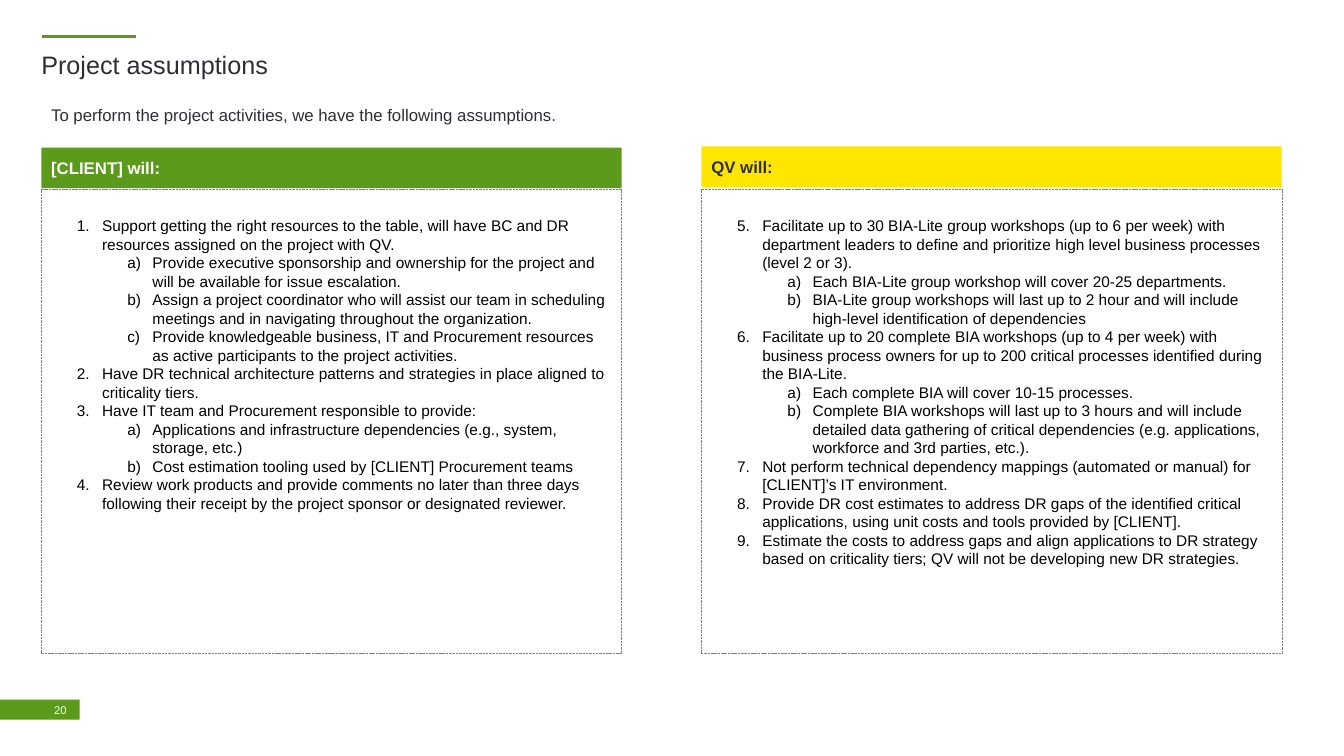
from dataclasses import dataclass

import lxml.etree
import pptx
import pptx.dml.color
import pptx.enum.dml
import pptx.enum.shapes
import pptx.enum.text
import pptx.oxml.ns
import pptx.shapes.autoshape
import pptx.slide
import pptx.text.text
import pptx.util


@dataclass(frozen=True)
class Theme:
    font: str = "Arial"
    green: str = "5C9A1B"
    yellow: str = "FFE600"
    dark: str = "2E2E38"
    white: str = "FFFFFF"
    black: str = "000000"
    border: str = "808080"
    title_size: float = 18
    heading_size: float = 12
    body_size: float = 11
    number_size: float = 8


@dataclass(frozen=True)
class Box:
    left: float
    top: float
    width: float
    height: float


@dataclass(frozen=True)
class Style:
    size: float
    color: str
    bold: bool = False


@dataclass(frozen=True)
class Item:
    text: str
    details: tuple[str, ...] = ()


@dataclass(frozen=True)
class Panel:
    heading: str
    left: float
    heading_top: float
    fill: str
    heading_color: str
    first_number: int
    items: tuple[Item, ...]


THEME = Theme()
MARGIN = 29.5
PANEL_WIDTH = 414.7
LINE_PITCH = 13.2
INDENT = 36.4
LEVEL_STEP = 36
HANGING = 18

PANELS = (
    Panel("[CLIENT] will:", MARGIN, 105.4, THEME.green, THEME.white, 1, (
        Item("Support getting the right resources to the table, will have BC and DR resources assigned on the project with QV.", (
            "Provide executive sponsorship and ownership for the project and will be available for issue escalation.",
            "Assign a project coordinator who will assist our team in scheduling meetings and in navigating throughout the organization.",
            "Provide knowledgeable business, IT and Procurement resources as active participants to the project activities.",
        )),
        Item("Have DR technical architecture patterns and strategies in place aligned to criticality tiers."),
        Item("Have IT team and Procurement responsible to provide:", (
            "Applications and infrastructure dependencies (e.g., system, storage, etc.)",
            "Cost estimation tooling used by [CLIENT] Procurement teams",
        )),
        Item("Review work products and provide comments no later than three days following their receipt by the project sponsor or designated reviewer."),
    )),
    Panel("QV will:", 501.3, 104.6, THEME.yellow, THEME.dark, 5, (
        Item("Facilitate up to 30 BIA-Lite group workshops (up to 6 per week) with department leaders to define and prioritize high level business processes (level 2 or 3).", (
            "Each BIA-Lite group workshop will cover 20-25 departments.",
            "BIA-Lite group workshops will last up to 2 hour and will include high-level identification of dependencies",
        )),
        Item("Facilitate up to 20 complete BIA workshops (up to 4 per week) with business process owners for up to 200 critical processes identified during the BIA-Lite.", (
            "Each complete BIA will cover 10-15 processes.",
            "Complete BIA workshops will last up to 3 hours and will include detailed data gathering of critical dependencies (e.g. applications, workforce and 3rd parties, etc.).",
        )),
        Item("Not perform technical dependency mappings (automated or manual) for [CLIENT]’s IT environment."),
        Item("Provide DR cost estimates to address DR gaps of the identified critical applications, using unit costs and tools provided by [CLIENT]."),
        Item("Estimate the costs to address gaps and align applications to DR strategy based on criticality tiers; QV will not be developing new DR strategies."),
    )),
)


def rgb(color: str) -> pptx.dml.color.RGBColor:
    return pptx.dml.color.RGBColor.from_string(color)


def place(box: Box) -> tuple[int, ...]:
    return tuple(pptx.util.Pt(length) for length in (box.left, box.top, box.width, box.height))


def add_run(paragraph: pptx.text.text._Paragraph, text: str, style: Style) -> None:
    run = paragraph.add_run()
    run.text = text
    run.font.name = THEME.font
    run.font.size = pptx.util.Pt(style.size)
    run.font.bold = style.bold
    run.font.color.rgb = rgb(style.color)


def add_text(slide: pptx.slide.Slide, box: Box, text: str, style: Style, inset: float | None = None,
             wrap: bool = True) -> pptx.text.text.TextFrame:
    frame = slide.shapes.add_textbox(*place(box)).text_frame
    frame.word_wrap = wrap
    if inset is not None:
        frame.margin_left = frame.margin_top = pptx.util.Pt(inset)
        frame.margin_right = frame.margin_bottom = pptx.util.Pt(inset)
    add_run(frame.paragraphs[0], text, style)
    return frame


def add_rectangle(slide: pptx.slide.Slide, box: Box, fill: str | None) -> pptx.shapes.autoshape.Shape:
    shape = slide.shapes.add_shape(pptx.enum.shapes.MSO_SHAPE.RECTANGLE, *place(box))
    shape.shadow.inherit = False
    if fill:
        shape.fill.solid()
        shape.fill.fore_color.rgb = rgb(fill)
        shape.line.fill.background()
    else:
        shape.fill.background()
        shape.line.color.rgb = rgb(THEME.border)
        shape.line.width = pptx.util.Pt(0.25)
        shape.line.dash_style = pptx.enum.dml.MSO_LINE.SQUARE_DOT
    return shape


def add_accent(slide: pptx.slide.Slide) -> None:
    start_x, end_x, y = (pptx.util.Pt(length) for length in (30.2, 97.5, 26.2))
    connector = slide.shapes.add_connector(pptx.enum.shapes.MSO_CONNECTOR.STRAIGHT, start_x, y, end_x, y)
    connector.line.color.rgb = rgb(THEME.green)
    connector.line.width = pptx.util.Pt(2.25)
    lxml.etree.SubElement(connector._element.spPr, pptx.oxml.ns.qn("a:effectLst"))


def format_number(paragraph: pptx.text.text._Paragraph, level: int, start: int) -> None:
    paragraph.level = level
    paragraph.line_spacing = pptx.util.Pt(LINE_PITCH)
    properties = paragraph._p.get_or_add_pPr()
    properties.set("marL", str(pptx.util.Pt(INDENT + level * LEVEL_STEP)))
    properties.set("indent", str(-pptx.util.Pt(HANGING)))
    number = lxml.etree.SubElement(properties, pptx.oxml.ns.qn("a:buAutoNum"))
    number.set("type", "alphaLcParenR" if level else "arabicPeriod")
    if start > 1:
        number.set("startAt", str(start))


def add_panel(slide: pptx.slide.Slide, panel: Panel) -> None:
    heading = add_rectangle(slide, Box(panel.left, panel.heading_top, PANEL_WIDTH, 29), panel.fill)
    frame = heading.text_frame
    frame.word_wrap = True
    frame.vertical_anchor = pptx.enum.text.MSO_ANCHOR.MIDDLE
    frame.paragraphs[0].alignment = pptx.enum.text.PP_ALIGN.LEFT
    add_run(frame.paragraphs[0], panel.heading, Style(THEME.heading_size, panel.heading_color, True))

    add_rectangle(slide, Box(panel.left, 135.4, PANEL_WIDTH, 331.2), None)
    body = slide.shapes.add_textbox(*place(Box(panel.left, 151.2, PANEL_WIDTH, 260))).text_frame
    body.word_wrap = True
    entries = [(level, text) for item in panel.items
               for level, text in ((0, item.text), *((1, detail) for detail in item.details))]
    for index, (level, text) in enumerate(entries):
        paragraph = body.add_paragraph() if index else body.paragraphs[0]
        format_number(paragraph, level, 1 if level else panel.first_number)
        add_run(paragraph, text, Style(THEME.body_size, THEME.black))


def main() -> None:
    presentation = pptx.Presentation()
    presentation.slide_width = pptx.util.Pt(960.5)
    presentation.slide_height = pptx.util.Pt(540)
    slide = presentation.slides.add_slide(presentation.slide_layouts[6])

    add_rectangle(slide, Box(0, 499.7, 56.9, 14.4), THEME.green)
    add_accent(slide)
    add_text(slide, Box(MARGIN, 35.3, 841, 37.4), "Project assumptions",
             Style(THEME.title_size, THEME.dark), inset=0)
    number = add_text(slide, Box(MARGIN, 499.7, 27.4, 14.4), "20",
                      Style(THEME.number_size, THEME.white), wrap=False)
    number.vertical_anchor = pptx.enum.text.MSO_ANCHOR.MIDDLE
    number.paragraphs[0].alignment = pptx.enum.text.PP_ALIGN.CENTER
    add_text(slide, Box(MARGIN, 71.6, 396, 21.6),
             "To perform the project activities, we have the following assumptions.",
             Style(THEME.heading_size, THEME.dark))
    for panel in PANELS:
        add_panel(slide, panel)
    presentation.save("out.pptx")


if __name__ == "__main__":
    main()
